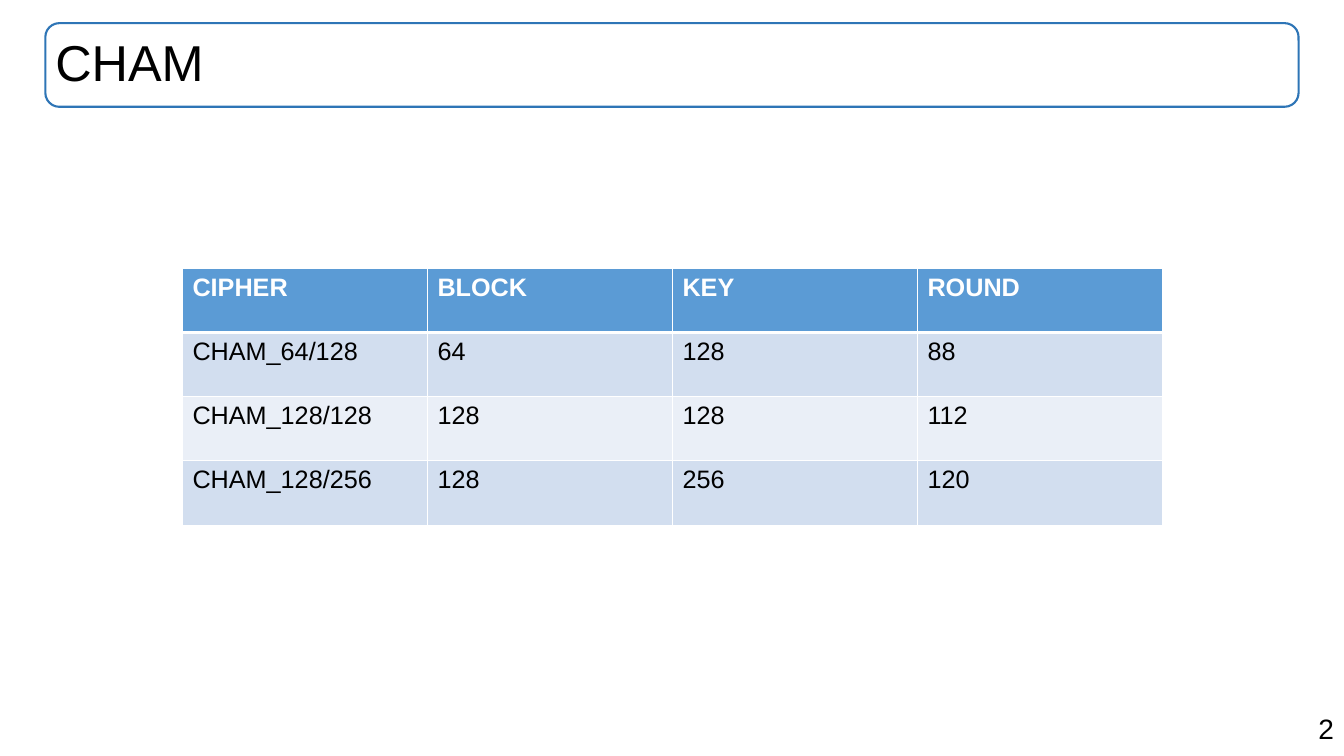
import lxml.etree
import pptx
import pptx.dml.color
import pptx.enum.shapes
import pptx.enum.text
import pptx.oxml.ns
import pptx.util

Inches = pptx.util.Inches
Pt = pptx.util.Pt
RGBColor = pptx.dml.color.RGBColor
Align = pptx.enum.text.PP_ALIGN
Anchor = pptx.enum.text.MSO_ANCHOR

BLACK = RGBColor(0x00, 0x00, 0x00)
WHITE = RGBColor(0xFF, 0xFF, 0xFF)
FRAME = RGBColor(0x2E, 0x75, 0xB6)
HEAD = RGBColor(0x5B, 0x9B, 0xD5)
BANDS = [RGBColor(0xEA, 0xEF, 0xF7), RGBColor(0xD2, 0xDE, 0xEF)]

ROWS = [
    ["CIPHER", "BLOCK", "KEY", "ROUND"],
    ["CHAM_64/128", "64", "128", "88"],
    ["CHAM_128/128", "128", "128", "112"],
    ["CHAM_128/256", "128", "256", "120"],
]


def style(para, size, color, bold=False):
    for run in para.runs:
        run.font.name = "Arial"
        run.font.size = Pt(size)
        run.font.bold = bold
        run.font.color.rgb = color


def add_text(slide, text, box, size, align, anchor):
    frame = slide.shapes.add_textbox(*map(Inches, box)).text_frame
    frame.word_wrap = True
    frame.vertical_anchor = anchor
    frame.text = text
    para = frame.paragraphs[0]
    para.alignment = align
    style(para, size, BLACK)
    return para


def add_title(slide, text):
    box = (0.45, 0.23, 12.43, 0.83)
    kind = pptx.enum.shapes.MSO_SHAPE.ROUNDED_RECTANGLE
    frame = slide.shapes.add_shape(kind, *map(Inches, box))
    frame.shadow.inherit = False
    frame.fill.background()
    frame.line.color.rgb = FRAME
    frame.line.width = Pt(1.5)
    para = add_text(slide, text, box, 36, Align.LEFT, Anchor.MIDDLE)
    para.line_spacing = 0.9


def add_edge(cell, side, width):
    qn = pptx.oxml.ns.qn
    props = cell._tc.get_or_add_tcPr()
    line = lxml.etree.SubElement(props, qn("a:ln" + side), w=str(Pt(width)))
    fill = lxml.etree.SubElement(line, qn("a:solidFill"))
    lxml.etree.SubElement(fill, qn("a:srgbClr"), val=str(WHITE))


def fill_cell(cell, text, row):
    head = row == 0
    for side in "LRTB":
        thick = (row, side) in [(0, "B"), (1, "T")]
        add_edge(cell, side, 3 if thick else 1)
    cell.fill.solid()
    cell.fill.fore_color.rgb = HEAD if head else BANDS[row % 2]
    cell.text_frame.text = text
    style(cell.text_frame.paragraphs[0], 18, WHITE if head else BLACK, head)


def add_grid(slide, rows):
    box = (1.81, 2.66, 9.72, 2.55)
    shape = slide.shapes.add_table(len(rows), len(rows[0]), *map(Inches, box))
    for row, texts in enumerate(rows):
        for col, text in enumerate(texts):
            fill_cell(shape.table.cell(row, col), text, row)


def main():
    deck = pptx.Presentation()
    deck.slide_width = Inches(13.33)
    deck.slide_height = Inches(7.5)
    slide = deck.slides.add_slide(deck.slide_layouts[6])
    add_text(slide, "2", (9.43, 7.01, 3.9, 0.44), 20, Align.RIGHT, Anchor.TOP)
    add_title(slide, "CHAM")
    add_grid(slide, ROWS)
    deck.save("out.pptx")


if __name__ == "__main__":
    main()
